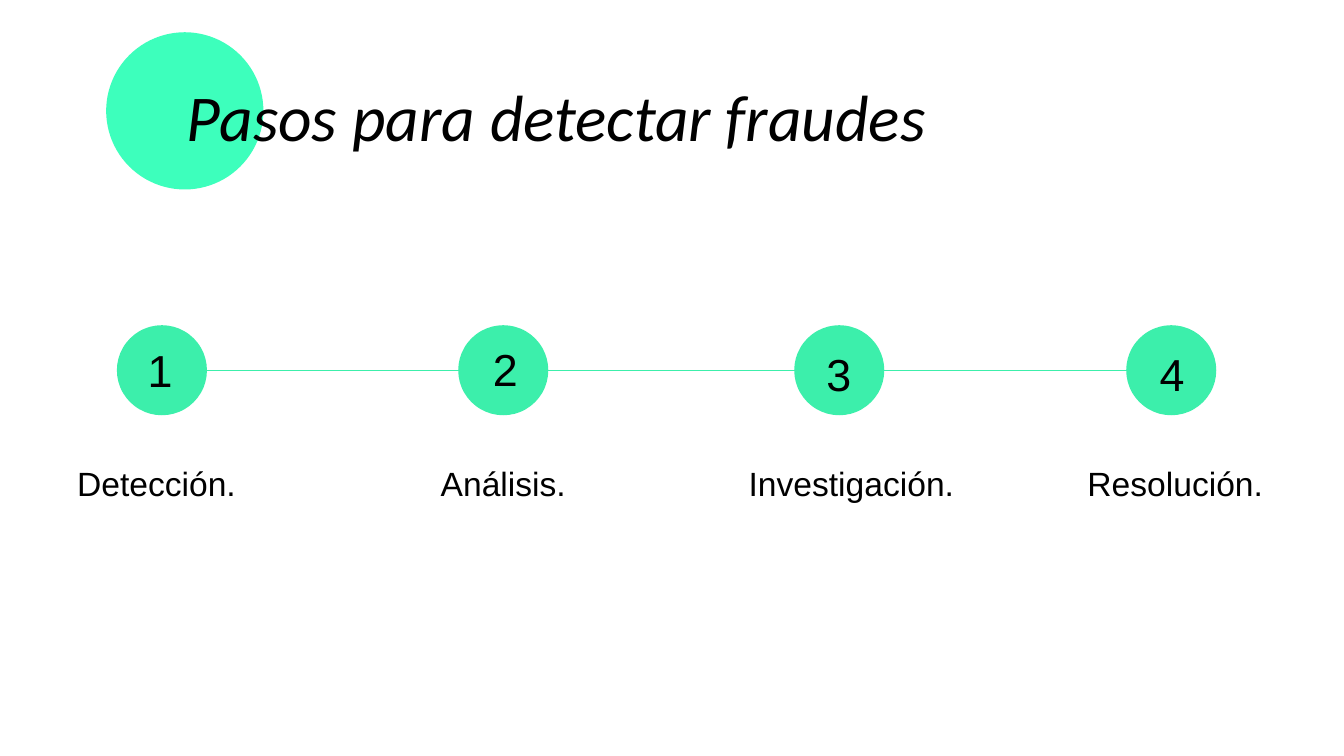
from dataclasses import dataclass

from lxml import etree
from pptx import Presentation
from pptx import util as u
from pptx.dml.color import RGBColor
from pptx.enum import shapes, text
from pptx.oxml.ns import qn


@dataclass(frozen=True)
class Theme:
    accent: str = "3DFFBC"
    step: str = "3CEFAB"
    ink: str = "000000"
    title_font: str = "Calibri"
    body_font: str = "Arial"
    title_size: int = 35
    number_size: int = 24
    label_size: int = 18
    line_width: float = 0.75


THEME = Theme()
SLIDE_WIDTH = 10
SLIDE_HEIGHT = SLIDE_WIDTH * 9 / 16

# Label, circle left, number box (left, top, height) and label left
STEPS = [
    ("Detección.", 0.87, (1.00, 2.45, 0.40), 0.25),
    ("Análisis.", 3.41, (3.57, 2.44, 0.40), 2.83),
    ("Investigación.", 5.91, (6.05, 2.48, 0.34), 5.42),
    ("Resolución.", 8.38, (8.53, 2.48, 0.34), 7.83),
]


def place(shape, left, top, width, height):
    shape.left, shape.top = u.Inches(left), u.Inches(top)
    shape.width, shape.height = u.Inches(width), u.Inches(height)


def write_text(shape, words, *, size, font=THEME.body_font, italic=False,
               align=text.PP_ALIGN.LEFT, anchor=text.MSO_ANCHOR.TOP, spacing=1.0):
    frame = shape.text_frame
    frame.auto_size = text.MSO_AUTO_SIZE.NONE
    frame.word_wrap = True
    frame.vertical_anchor = anchor
    frame.margin_left = frame.margin_right = u.Inches(0.1)
    frame.margin_top = frame.margin_bottom = u.Inches(0.1)
    paragraph = frame.paragraphs[0]
    paragraph.alignment = align
    paragraph.line_spacing = spacing
    run = paragraph.add_run()
    run.text = words
    run.font.name = font
    run.font.size = u.Pt(size)
    run.font.italic = italic
    run.font.color.rgb = RGBColor.from_string(THEME.ink)


def add_text_box(slide, box, words, **text_format):
    shape = slide.shapes.add_textbox(*map(u.Inches, box))
    write_text(shape, words, **text_format)


def add_circle(slide, left, top, diameter, color):
    shape = slide.shapes.add_shape(
        shapes.MSO_SHAPE.OVAL, *map(u.Inches, (left, top, diameter, diameter)))
    shape.shadow.inherit = False
    shape.fill.solid()
    shape.fill.fore_color.rgb = RGBColor.from_string(color)
    shape.line.fill.background()
    return shape


def add_heading(slide, left, top, width, height):
    circle = add_circle(slide, left - 0.5, top - 0.14, 1.17, THEME.accent)
    title = slide.shapes.title
    # The circle sits behind the title
    title._element.addprevious(circle._element)
    place(title, left, top, width, height)
    write_text(title, "Pasos para detectar fraudes", size=THEME.title_size,
               font=THEME.title_font, italic=True, spacing=1.15)


def add_timeline(slide, top, diameter):
    # Line from the first circle to the last
    middle = top + diameter / 2
    start, end = STEPS[0][1] + diameter, STEPS[-1][1]
    line = slide.shapes.add_connector(
        shapes.MSO_CONNECTOR.STRAIGHT, *map(u.Inches, (start, middle, end, middle)))
    line.line.color.rgb = RGBColor.from_string(THEME.step)
    line.line.width = u.Pt(THEME.line_width)
    etree.SubElement(line._element.spPr, qn("a:effectLst"))

    # Numbered circles with their labels below
    for number, (label, circle_left, number_box, label_left) in enumerate(STEPS, 1):
        number_left, number_top, number_height = number_box
        add_circle(slide, circle_left, top, diameter, THEME.step)
        add_text_box(slide, (number_left, number_top, 0.3, number_height),
                     str(number), size=THEME.number_size)
        add_text_box(slide, (label_left, top + 0.95, 1.83, 0.4), label,
                     size=THEME.label_size, align=text.PP_ALIGN.CENTER,
                     anchor=text.MSO_ANCHOR.MIDDLE, spacing=1.15)


def main():
    presentation = Presentation()
    presentation.slide_width = u.Inches(SLIDE_WIDTH)
    presentation.slide_height = u.Inches(SLIDE_HEIGHT)
    slide = presentation.slides.add_slide(presentation.slide_layouts[5])
    add_heading(slide, 1.29, 0.38, 8.58, 0.76)
    add_timeline(slide, 2.42, 0.67)
    presentation.save("out.pptx")


if __name__ == "__main__":
    main()
